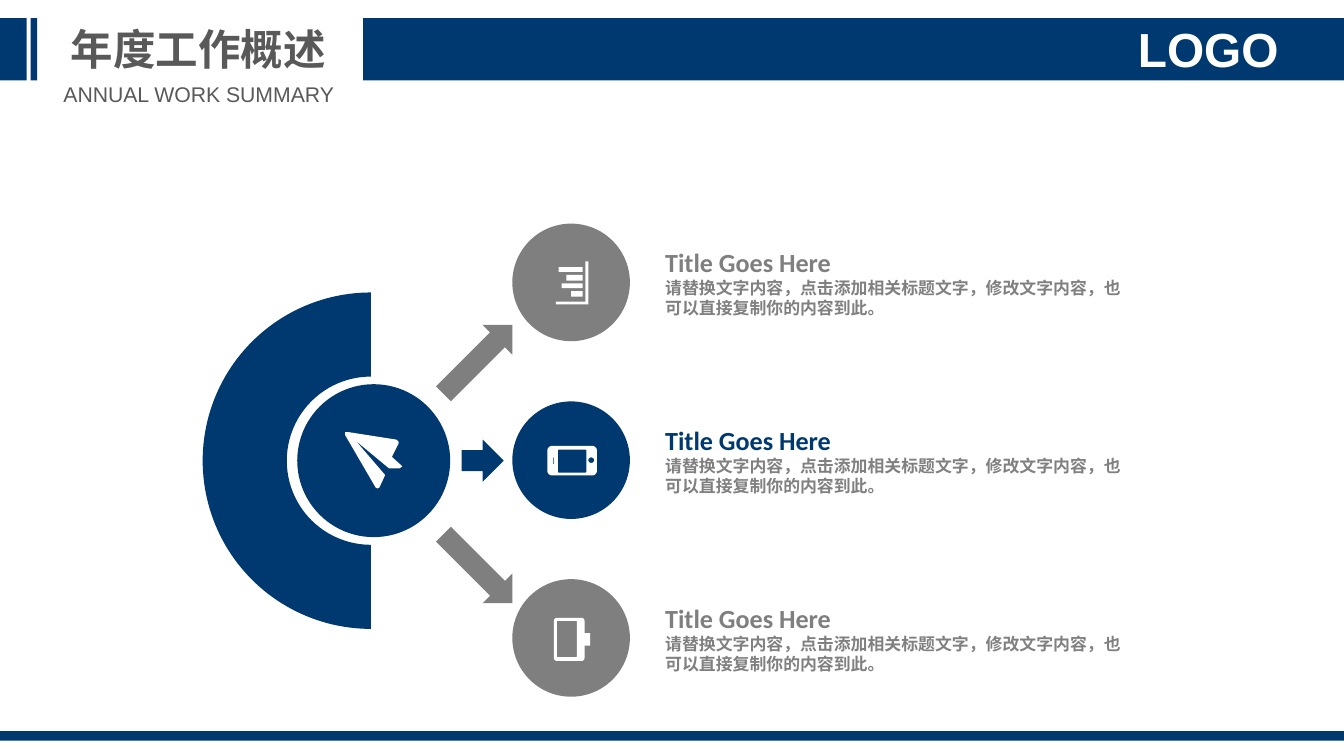
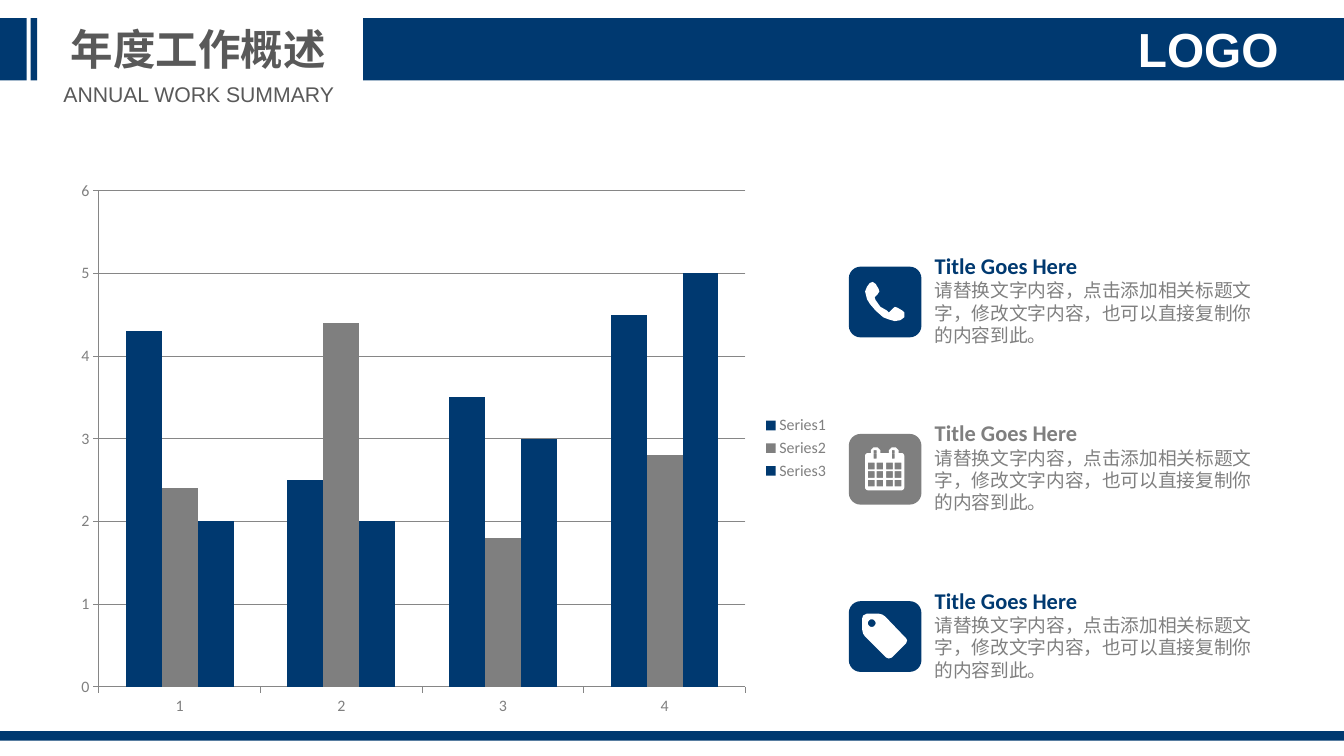
from dataclasses import dataclass
from math import cos, pi, sin

from pptx import Presentation
from pptx.chart.data import CategoryChartData
from pptx.dml.color import RGBColor
from pptx.enum.chart import XL_CHART_TYPE, XL_LEGEND_POSITION, XL_TICK_MARK
from pptx.enum.shapes import MSO_SHAPE
from pptx.enum.text import MSO_AUTO_SIZE, PP_ALIGN
from pptx.util import Inches, Pt


@dataclass(frozen=True)
class Theme:
    navy: str = "003970"
    gray: str = "7F7F7F"
    text: str = "808080"
    heading: str = "595959"
    white: str = "FFFFFF"
    grid: str = "868686"
    title_font: str = "Arial"
    body_font: str = "Calibri"
    title_size: float = 32
    logo_size: float = 36
    subtitle_size: float = 16
    axis_size: float = 12
    process_sizes: tuple = (19.7, 12.7)
    list_sizes: tuple = (16.9, 14.1)


THEME = Theme()

# Shared content
SLIDE_SIZE = (14.06, 7.91)
TITLE, SUBTITLE, LOGO = "年度工作概述", "ANNUAL WORK SUMMARY", "LOGO"
ITEM_TITLE = "Title Goes Here"
ITEM_BODY = "请替换文字内容，点击添加相关标题文字，修改文字内容，也可以直接复制你的内容到此。"
FOOTER_TOP = 7.65
BANDS = [(3.8, 0.19, 10.26, 0.65), (0, 0.19, 0.28, 0.65),
         (0.32, 0.19, 0.07, 0.65), (0, FOOTER_TOP, 14.06, 0.1)]

# Slide content: icon and colour of each item, top to bottom
PROCESS_ITEMS = [("bars", THEME.gray), ("phone", THEME.navy), ("battery", THEME.gray)]
LIST_ITEMS = [("handset", THEME.navy), ("calendar", THEME.gray), ("tag", THEME.navy)]
ARROWS = [((4.83, 4.6, 0.44, 0.44), 270, THEME.navy),
          ((4.78, 3.25, 0.44, 1.02), 225, THEME.gray),
          ((4.78, 5.44, 0.44, 1.02), 315, THEME.gray)]
CATEGORIES = ["1", "2", "3", "4"]
SERIES = [("Series1", (4.3, 2.5, 3.5, 4.5), THEME.navy),
          ("Series2", (2.4, 4.4, 1.8, 2.8), THEME.gray),
          ("Series3", (2, 2, 3, 5), THEME.navy)]


# Icon outlines, in hundredths of an inch from the icon centre
def circle(x, y, radius, steps=24):
    angles = [2 * pi * step / steps for step in range(steps)]
    return [(x + radius * cos(angle), y + radius * sin(angle)) for angle in angles]


def block(x, y, width, height):
    return [(x, y), (x + width, y), (x + width, y + height), (x, y + height)]


def rounded(x, y, width, height, radius, steps=6):
    corners = [(x + width - radius, y + height - radius), (x + radius, y + height - radius),
               (x + radius, y + radius), (x + width - radius, y + radius)]
    points = []
    for quarter, (corner_x, corner_y) in enumerate(corners):
        for step in range(steps + 1):
            angle = pi / 2 * (quarter + step / steps)
            points.append((corner_x + radius * cos(angle), corner_y + radius * sin(angle)))
    return points


def tab(x, y, width, height, cut):
    return [(x, y + height), (x, y + cut), (x + cut, y), (x + width - cut, y),
            (x + width, y + cut), (x + width, y + height)]


ICONS = {
    "bars": [
        [(18, -22), (18, 23), (-16, 23), (-16, 20), (15, 20), (15, -22)],
        block(0, 9, 12, 6), block(-10, 1, 22, 5), block(-5, -8, 17, 6), block(-13, -16, 25, 5),
    ],
    "phone": [
        rounded(-25, -15, 52, 31, 5), rounded(-14, -11, 30, 24, 1),
        block(-19, -3, 1, 7), circle(21, 0, 3),
    ],
    "battery": [
        rounded(-18, -21, 32, 45, 3), rounded(-15, -18, 21, 38, 1), block(14, -5, 6, 13),
    ],
    "plane": [
        [(-27, -30), (24, -22), (26, -20), (26, -18), (19, -4), (29, 5), (30, 6), (27, 8),
         (16, 8), (-19, -21), (12, 15), (6, 28), (4, 29), (2, 28), (-30, -27), (-30, -30)],
    ],
    "handset": [
        [(20, 16), (16, 19), (10, 20), (3, 18), (-2, 16), (-10, 9), (-16, 2), (-19, -3),
         (-21, -11), (-19, -16), (-16, -20), (-13, -21), (-10, -19), (-7, -14), (-6, -11),
         (-8, -8), (-11, -5), (-10, -2), (-5, 5), (2, 9), (4, 11), (7, 8), (10, 5), (13, 6),
         (18, 9), (20, 11)],
    ],
    "calendar": [
        rounded(-21, -17, 41, 39, 3),
        *[tab(x, -23, 10, 6, 3) for x in (-15, 4)],
        *[block(x, -20, 3, 9) for x in (-12, 7)],
        *[block(x, y, 7, 7) for y in (-7, 2, 11) for x in (-18, -9, 1, 10)],
    ],
    "tag": [
        [(22, 7), (7, 22), (4, 23), (1, 22), (-21, 0), (-23, -3), (-24, -7), (-24, -19),
         (-23, -22), (-19, -24), (-7, -24), (-3, -23), (0, -21), (22, 2), (23, 4)],
        circle(-14, -14, 4),
    ],
}


# Drawing helpers
def inches(*lengths):
    return [Inches(length) for length in lengths]


def paint(shape, color):
    shape.shadow.inherit = False
    shape.fill.solid()
    shape.fill.fore_color.rgb = RGBColor.from_string(color)
    shape.line.fill.background()


def add_block(shapes, kind, place, color, rotation=0):
    shape = shapes.add_shape(kind, *inches(*place))
    shape.rotation = rotation
    paint(shape, color)


def set_font(font, size, color, name=THEME.body_font, bold=False):
    for key, value in {"size": Pt(size), "name": name, "bold": bold}.items():
        setattr(font, key, value)
    font.color.rgb = RGBColor.from_string(color)


def add_text(page, place, lines, wrap=True, align=PP_ALIGN.LEFT, margins=None):
    """Each line is a text and the format of its font."""
    box = page.shapes.add_textbox(*inches(*place))
    frame = box.text_frame
    frame.word_wrap = wrap
    frame.auto_size = MSO_AUTO_SIZE.SHAPE_TO_FIT_TEXT
    for side, margin in (margins or {}).items():
        setattr(frame, f"margin_{side}", Inches(margin))
    for index, (text, style) in enumerate(lines):
        para = frame.add_paragraph() if index else frame.paragraphs[0]
        para.alignment = align
        span = para.add_run()
        span.text = text
        set_font(span.font, **style)


def add_item_text(page, place, sizes, color, bold_body):
    title_size, body_size = sizes
    add_text(page, place, [
        (ITEM_TITLE, {"size": title_size, "color": color, "bold": True}),
        (ITEM_BODY, {"size": body_size, "color": THEME.text, "bold": bold_body}),
    ])


def add_badge(page, kind, place, color, icon):
    """A filled shape with a white icon at its centre."""
    left, top, width, height = place
    group = page.shapes.add_group_shape()
    add_block(group.shapes, kind, place, color)
    outlines = [[(round(10 * x), round(10 * y)) for x, y in outline] for outline in ICONS[icon]]
    builder = group.shapes.build_freeform(*outlines[0][0], scale=Inches(0.01) / 10)
    for index, (start, *others) in enumerate(outlines):
        if index:
            builder.move_to(*start)
        builder.add_line_segments(others, close=True)
    paint(builder.convert_to_shape(*inches(left + width / 2, top + height / 2)), THEME.white)


def add_frame(page):
    """Bands, title, subtitle and logo word of every slide."""
    for band in BANDS:
        add_block(page.shapes, MSO_SHAPE.RECTANGLE, band, THEME.navy)
    center, font = PP_ALIGN.CENTER, THEME.title_font
    add_text(page, (0.63, 0.19, 2.89, 0.64),
             [(TITLE, {"size": THEME.title_size, "color": THEME.heading,
                       "name": font, "bold": True})], wrap=False, align=center)
    add_text(page, (11.6, 0.21, 2.08, 0.61),
             [(LOGO, {"size": THEME.logo_size, "color": THEME.white,
                      "name": font, "bold": True})], align=center,
             margins=dict.fromkeys(("left", "top", "right", "bottom"), 0))
    add_text(page, (0.55, 0.8, 3.06, 0.37),
             [(SUBTITLE, {"size": THEME.subtitle_size, "color": THEME.heading,
                          "name": font})], wrap=False, align=center)


# Slides
def build_process(page):
    for place, rotation, color in ARROWS:
        add_block(page.shapes, MSO_SHAPE.DOWN_ARROW, place, color, rotation)
    for row, (icon, color) in enumerate(PROCESS_ITEMS):
        top = 2.34 + 1.86 * row
        add_badge(page, MSO_SHAPE.OVAL, (5.36, top, 1.23, 1.23), color, icon)
        add_item_text(page, (6.86, top + 0.19, 5.08, 0.86), THEME.process_sizes, color, True)
    add_badge(page, MSO_SHAPE.OVAL, (3.11, 4.02, 1.6, 1.6), THEME.navy, "plane")
    add_block(page.shapes, MSO_SHAPE.BLOCK_ARC, (2.12, 3.06, 3.52, 3.52), THEME.navy, 270)


def add_column_chart(page):
    data = CategoryChartData()
    data.categories = CATEGORIES
    for name, values, _ in SERIES:
        data.add_series(name, values)
    # The chart ends just above the footer band
    top = 1.78
    height = FOOTER_TOP - 0.05 - top
    chart = page.shapes.add_chart(XL_CHART_TYPE.COLUMN_CLUSTERED,
                                  *inches(0.69, top, 8.09, height), data).chart
    chart.has_title = False
    set_font(chart.font, THEME.axis_size, THEME.text)
    chart.has_legend = True
    chart.legend.position = XL_LEGEND_POSITION.RIGHT
    chart.legend.include_in_layout = False
    set_font(chart.legend.font, THEME.axis_size, THEME.text)

    plot = chart.plots[0]
    plot.gap_width, plot.overlap, plot.vary_by_categories = 150, 0, False
    for series, (_, _, color) in zip(plot.series, SERIES):
        series.format.fill.solid()
        series.format.fill.fore_color.rgb = RGBColor.from_string(color)
        series.invert_if_negative = False

    value_axis = chart.value_axis
    for key, value in {"minimum_scale": 0, "maximum_scale": 6, "major_unit": 1,
                       "has_major_gridlines": True}.items():
        setattr(value_axis, key, value)
    lines = [value_axis.major_gridlines.format.line]
    for axis in (chart.category_axis, value_axis):
        axis.major_tick_mark = XL_TICK_MARK.OUTSIDE
        set_font(axis.tick_labels.font, THEME.axis_size, THEME.text)
        lines.append(axis.format.line)
    for line in lines:
        line.width = Pt(0.75)
        line.color.rgb = RGBColor.from_string(THEME.grid)


def build_chart(page):
    add_column_chart(page)
    for row, (icon, color) in enumerate(LIST_ITEMS):
        top = 2.59 + 1.75 * row
        add_item_text(page, (9.68, top, 3.69, 1.09), THEME.list_sizes, color, False)
        add_badge(page, MSO_SHAPE.ROUNDED_RECTANGLE, (8.88, top + 0.2, 0.76, 0.74), color, icon)


def main():
    deck = Presentation()
    deck.slide_width, deck.slide_height = inches(*SLIDE_SIZE)
    for build in (build_process, build_chart):
        page = deck.slides.add_slide(deck.slide_layouts[6])
        build(page)
        add_frame(page)
    deck.save("out.pptx")


if __name__ == "__main__":
    main()
